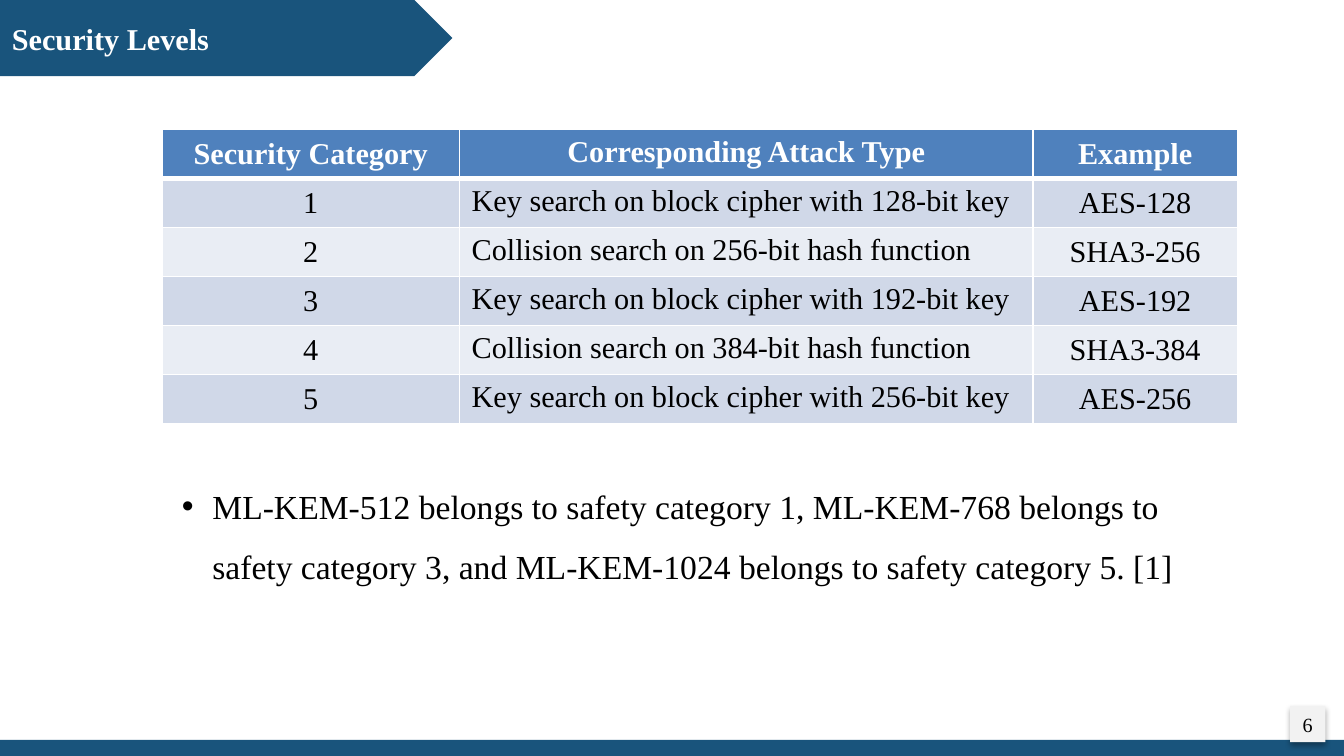
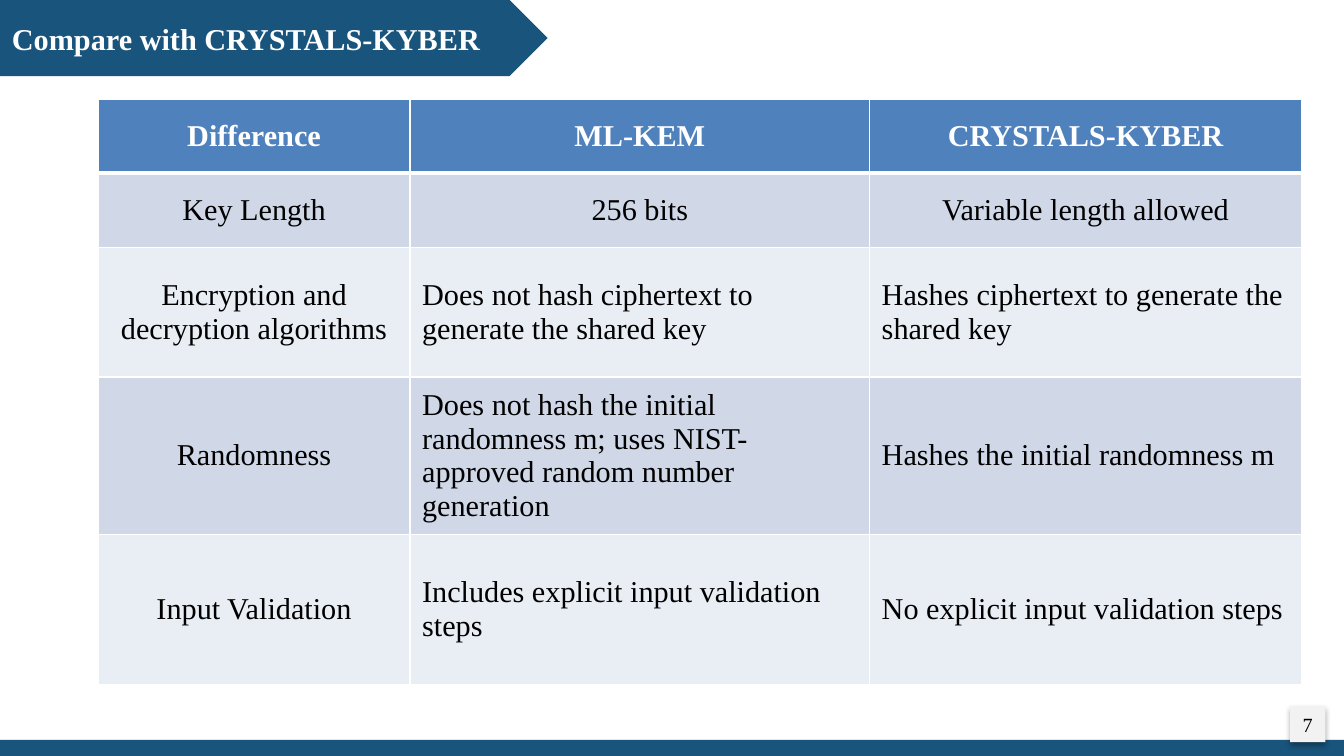
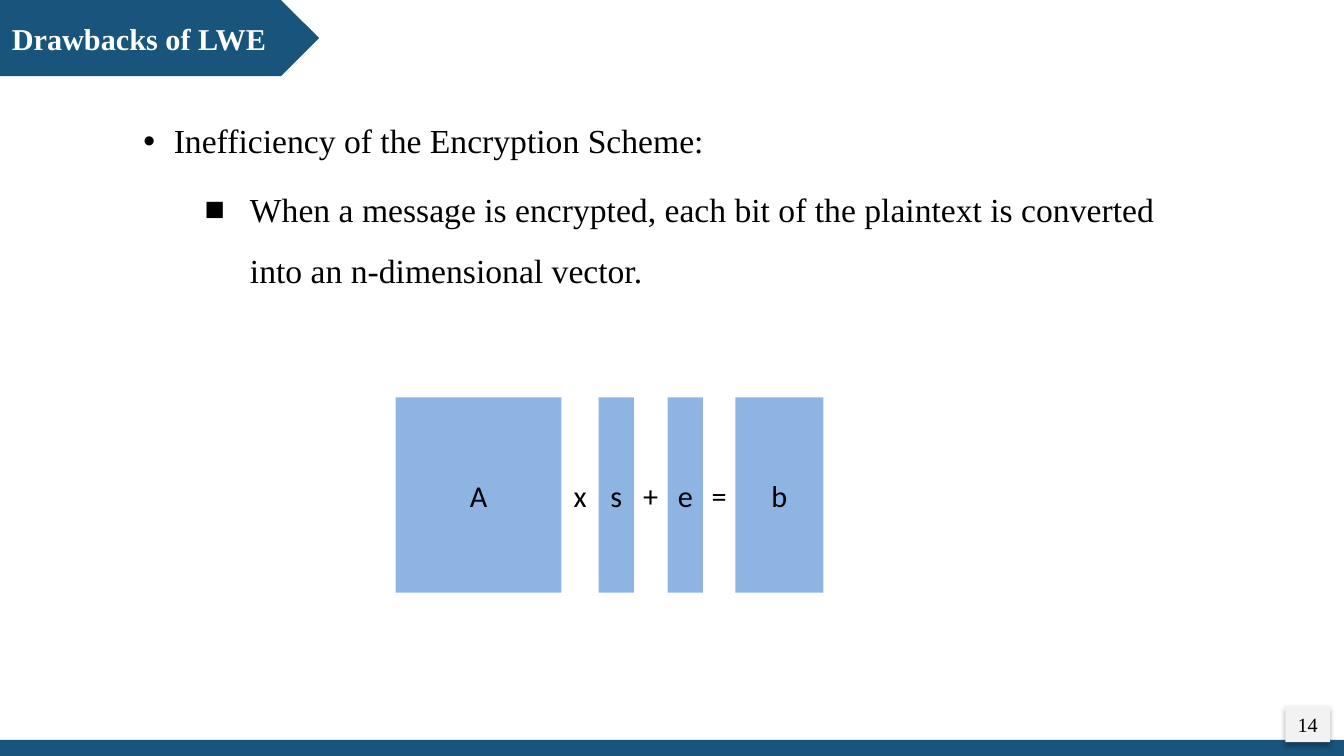
from lxml import etree
from pptx import Presentation
from pptx.dml.color import RGBColor
from pptx.enum.shapes import MSO_SHAPE
from pptx.enum.text import MSO_ANCHOR, PP_ALIGN
from pptx.oxml import parse_xml
from pptx.oxml.ns import nsdecls
from pptx.util import Cm, Pt

NAVY, HEADER_BLUE, LIGHT_BLUE = "19547C", "4F81BD", "8EB4E3"
ROW_FILLS = ["E9EDF4", "D0D8E8"]
WHITE, BLACK, PALE_GREY = "FFFFFF", "000000", "F2F2F2"
SERIF, SANS = "Times New Roman", "Calibri"
SLIDE_WIDTH, SLIDE_HEIGHT = 28.22, 15.88
BAND_TOP, NUMBER_CENTER = 15.54, 27.46


def style(element, size, color, name=SERIF, bold=False):
    """Set the font of a run or a paragraph."""
    font = element.font
    font.size, font.name, font.bold = Pt(size), name, bold
    font.color.rgb = RGBColor.from_string(color)


def add_block(page, preset, left, top, width, height, fill, text=""):
    """Add a shape, filled unless fill is None, with centred text and no insets."""
    block = page.shapes.add_shape(preset, Cm(left), Cm(top), Cm(width), Cm(height))
    block.shadow.inherit = False
    block.line.fill.background()
    if fill:
        block.fill.solid()
        block.fill.fore_color.rgb = RGBColor.from_string(fill)
    else:
        block.fill.background()
    frame = block.text_frame
    frame.margin_left = frame.margin_right = 0
    frame.vertical_anchor = MSO_ANCHOR.MIDDLE
    frame.text = text
    frame.paragraphs[0].alignment = PP_ALIGN.CENTER
    return block


deck = Presentation()
deck.slide_width, deck.slide_height = Cm(SLIDE_WIDTH), Cm(SLIDE_HEIGHT)

# Title arrow, footer band and page number
pages = []
for title, title_width, number, number_width in [
    ("Security Levels", 9.5, "6", 0.74),
    ("Compare with CRYSTALS-KYBER", 11.5, "7", 0.74),
    ("Drawbacks of LWE", 6.7, "14", 0.94),
]:
    page = deck.slides.add_slide(deck.slide_layouts[6])
    pages.append(page)
    add_block(page, MSO_SHAPE.RECTANGLE, 0, BAND_TOP, SLIDE_WIDTH,
              SLIDE_HEIGHT - BAND_TOP, NAVY)

    number_box = add_block(page, MSO_SHAPE.RECTANGLE, NUMBER_CENTER - number_width / 2,
                           14.83, number_width, 0.76, PALE_GREY, number)
    number_box.text_frame.word_wrap = False
    style(number_box.text_frame.paragraphs[0].runs[0], 12, BLACK)
    effects = number_box._element.spPr.find(".//{*}effectLst")
    effects.append(parse_xml(
        f'<a:outerShdw {nsdecls("a")} blurRad="{Pt(3.5)}" dist="{Pt(2.2)}" dir="5400000" '
        f'algn="t" rotWithShape="0"><a:srgbClr val="{BLACK}"><a:alpha val="32000"/>'
        '</a:srgbClr></a:outerShdw>'))

    arrow = add_block(page, MSO_SHAPE.PENTAGON, 0, 0, title_width, 1.6, NAVY, title)
    arrow.text_frame.margin_left = Cm(0.25)
    arrow.text_frame.paragraphs[0].alignment = PP_ALIGN.LEFT
    style(arrow.text_frame.paragraphs[0].runs[0], 18, WHITE, bold=True)

security_page, comparison_page, drawbacks_page = pages

# Tables: left-aligned text starts at left_from (row, column) and ends before left_to
security_rows = [
    ("Security Category", "Corresponding Attack Type", "Example"),
    ("1", "Key search on block cipher with 128-bit key", "AES-128"),
    ("2", "Collision search on 256-bit hash function", "SHA3-256"),
    ("3", "Key search on block cipher with 192-bit key", "AES-192"),
    ("4", "Collision search on 384-bit hash function", "SHA3-384"),
    ("5", "Key search on block cipher with 256-bit key", "AES-256"),
]
comparison_rows = [
    ("Difference", "ML-KEM", "CRYSTALS-KYBER"),
    ("Key Length", "256 bits", "Variable length allowed"),
    ("Encryption and decryption algorithms",
     "Does not hash ciphertext to generate the shared key",
     "Hashes ciphertext to generate the shared key"),
    ("Randomness",
     "Does not hash the initial randomness m; uses NIST-approved random number generation",
     "Hashes the initial randomness m"),
    ("Input Validation", "Includes explicit input validation steps",
     "No explicit input validation steps"),
]
for page, left, top, widths, heights, rows, left_columns, left_from_row, top_column in [
    (security_page, 3.4, 2.72, [6.25, 12.04, 4.29], [1.03] * 6,
     security_rows, [1], 1, 1),
    (comparison_page, 2.06, 2.08, [6.55, 9.65, 9.07], [1.55, 1.57, 2.72, 3.28, 3.15],
     comparison_rows, [1, 2], 2, None),
]:
    table = page.shapes.add_table(len(rows), len(widths), Cm(left), Cm(top),
                                  Cm(sum(widths)), Cm(sum(heights))).table
    for column, width in zip(table.columns, widths):
        column.width = Cm(width)
    for row, height in zip(table.rows, heights):
        row.height = Cm(height)
    for row_index, texts in enumerate(rows):
        is_header = row_index == 0
        for column_index, text in enumerate(texts):
            cell = table.cell(row_index, column_index)
            properties = cell._tc.get_or_add_tcPr()
            line_widths = {"lnL": 1, "lnR": 1, "lnT": 3 if row_index == 1 else 1,
                           "lnB": 3 if is_header else 1}
            for side, line_width in line_widths.items():
                properties.append(parse_xml(
                    f'<a:{side} {nsdecls("a")} w="{Pt(line_width)}"><a:solidFill>'
                    f'<a:srgbClr val="{WHITE}"/></a:solidFill></a:{side}>'))
            cell.fill.solid()
            cell.fill.fore_color.rgb = RGBColor.from_string(
                HEADER_BLUE if is_header else ROW_FILLS[row_index % 2])
            cell.vertical_anchor = (MSO_ANCHOR.TOP if column_index == top_column
                                    else MSO_ANCHOR.MIDDLE)
            para = cell.text_frame.paragraphs[0]
            para.text = text
            is_left = column_index in left_columns and row_index >= left_from_row
            para.alignment = PP_ALIGN.LEFT if is_left else PP_ALIGN.CENTER
            style(para.runs[0], 18, WHITE if is_header else BLACK, bold=is_header)

# Bulleted text: bullet, text indent and hanging indent for each level
BULLETS = [("•", 1.9, 0.64), ("■", 3.5, 0.95)]
for page, left, top, height, texts in [
    (security_page, 2.31, 9.65, 2.67, [
        "ML-KEM-512 belongs to safety category 1, ML-KEM-768 belongs to safety "
        "category 3, and ML-KEM-1024 belongs to safety category 5. [1]"]),
    (drawbacks_page, 1.5, 1.98, 4.14, [
        "Inefficiency of the Encryption Scheme:",
        "When a message is encrypted, each bit of the plaintext is converted "
        "into an n-dimensional vector."]),
]:
    box = page.shapes.add_textbox(Cm(left), Cm(top), Cm(23.24), Cm(height))
    frame = box.text_frame
    frame.word_wrap = True
    for level, text in enumerate(texts):
        para = frame.add_paragraph() if level else frame.paragraphs[0]
        para.text = text
        para.level = level
        para.line_spacing = 1.5
        para.space_before = Pt(5 if level else 0)
        bullet, indent, hanging = BULLETS[level]
        properties = para._p.get_or_add_pPr()
        properties.set("marL", str(Cm(indent)))
        properties.set("indent", str(-Cm(hanging)))
        for tag, attribute, value in [("buFont", "typeface", "Arial"),
                                      ("buChar", "char", bullet)]:
            namespace = properties.nsmap["a"]
            etree.SubElement(properties, f"{{{namespace}}}{tag}").set(attribute, value)
        style(para.runs[0], 20, BLACK)

# Equation: operands are filled blocks, operators fill the gaps between them
equation_left = 8.31
for symbol, width, fill in [
    ("A", 3.48, LIGHT_BLUE), ("x", 0.78, None), ("s", 0.74, LIGHT_BLUE),
    ("+", 0.71, None), ("e", 0.74, LIGHT_BLUE), ("=", 0.68, None),
    ("b", 1.85, LIGHT_BLUE),
]:
    block = add_block(drawbacks_page, MSO_SHAPE.RECTANGLE, equation_left, 8.35,
                      width, 4.1, fill, symbol)
    style(block.text_frame.paragraphs[0].runs[0], 18, BLACK, SANS)
    equation_left += width

deck.save("out.pptx")
